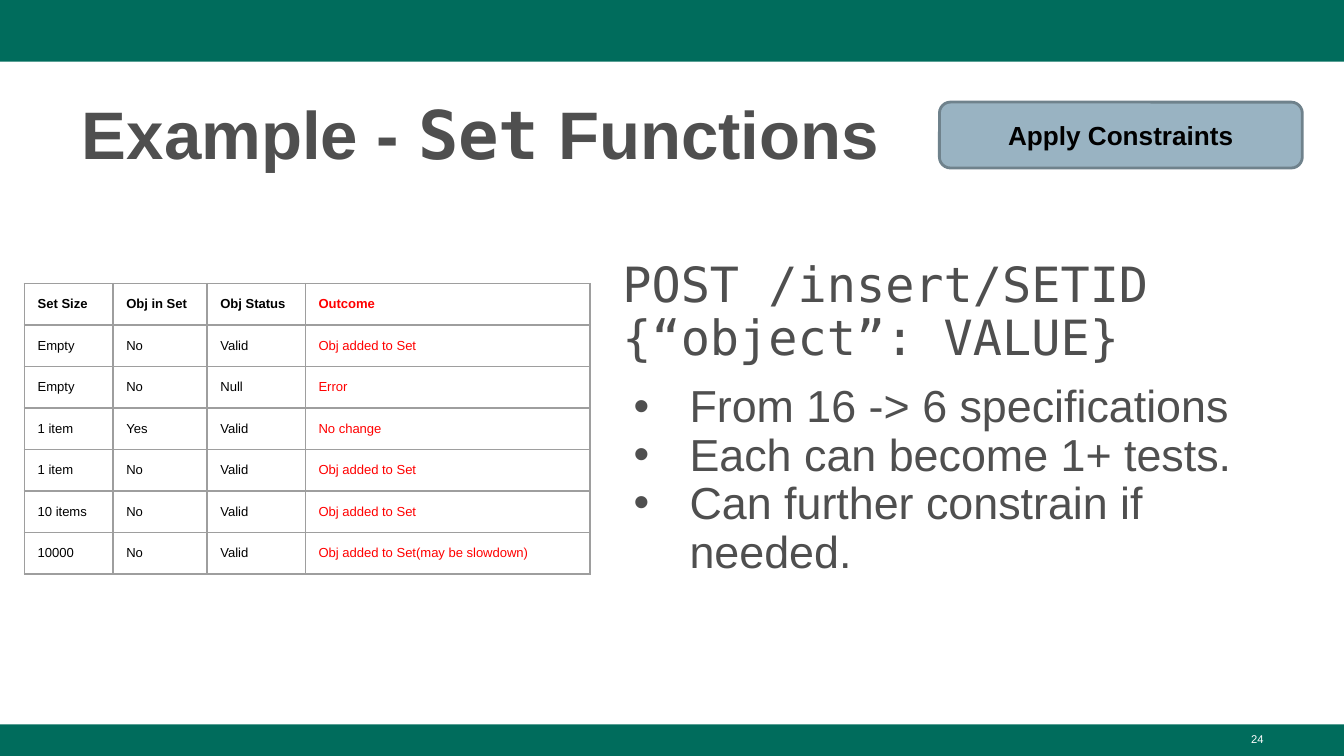
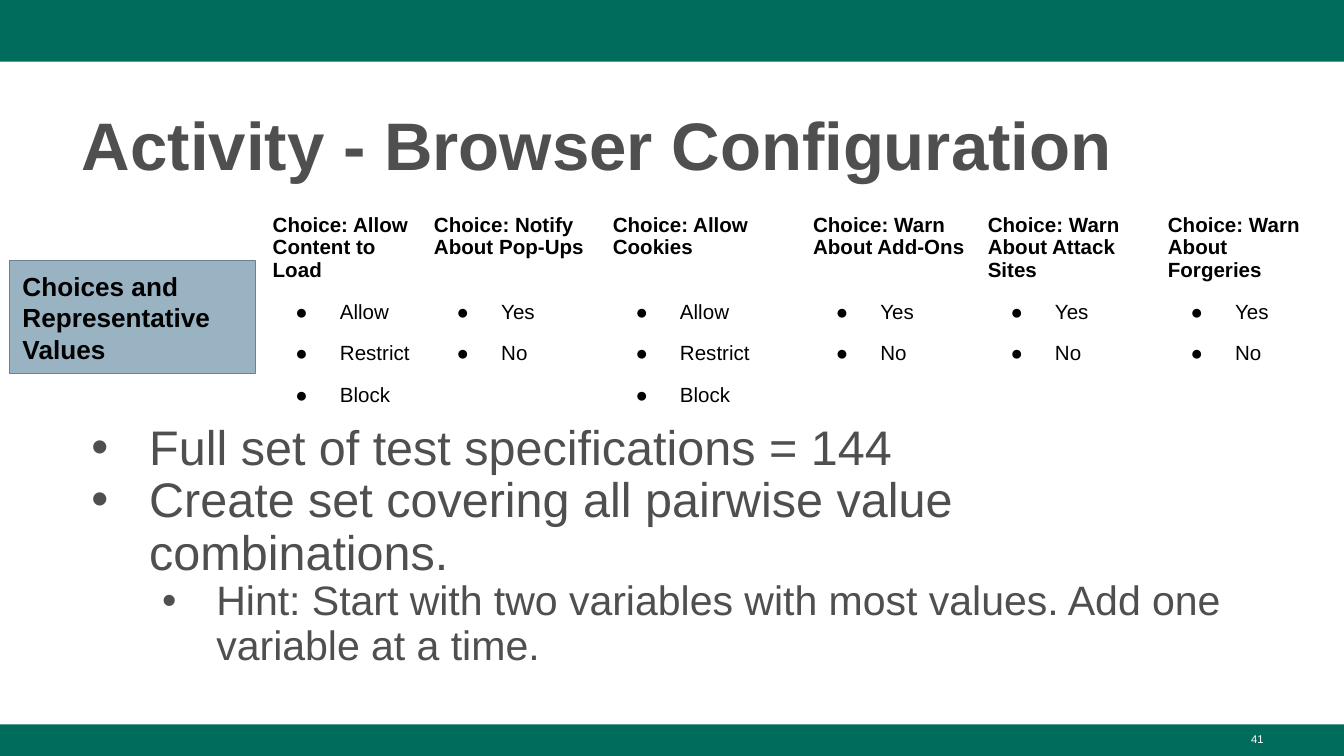
from dataclasses import dataclass
from itertools import zip_longest

from lxml import etree
from pptx import Presentation
from pptx.dml.color import RGBColor
from pptx.enum.shapes import MSO_SHAPE
from pptx.enum.text import MSO_ANCHOR, MSO_AUTO_SIZE, PP_ALIGN
from pptx.oxml.ns import qn
from pptx.util import Pt

# Shared look
COLORS = {
    "band": "006C5C",
    "text": "4F4F4F",
    "black": "000000",
    "white": "FFFFFF",
    "outcome": "FF0000",
    "label": "99B3C2",
    "label_line": "6F828C",
    "grid": "9E9E9E",
}
SANS = "Arial"
MONO = "DejaVu Sans Mono"
LEFT, CENTER, RIGHT = PP_ALIGN.LEFT, PP_ALIGN.CENTER, PP_ALIGN.RIGHT
TOP, MIDDLE = MSO_ANCHOR.TOP, MSO_ANCHOR.MIDDLE
RECTANGLE, ROUNDED = MSO_SHAPE.RECTANGLE, MSO_SHAPE.ROUNDED_RECTANGLE
NO_AUTOFIT = MSO_AUTO_SIZE.NONE
SLIDE_WIDTH, SLIDE_HEIGHT = 720, 405


@dataclass(frozen=True)
class Box:
    left: float
    top: float
    width: float
    height: float

    def lengths(self) -> tuple:
        return Pt(self.left), Pt(self.top), Pt(self.width), Pt(self.height)


@dataclass(frozen=True)
class Bullet:
    character: str
    margin: float
    hanging: float


@dataclass(frozen=True)
class Label:
    text: str
    box: Box
    kind: int
    line_width: float
    align: int


@dataclass(frozen=True)
class TableStyle:
    size: float
    margin: float
    border: str = ""
    last_column_color: str = "black"
    bullet: Bullet | None = None


BANDS = (Box(0, 0, SLIDE_WIDTH, 33.1), Box(0, 388.1, SLIDE_WIDTH, 16.9))
NUMBER_BOX = Box(516.2, 388.8, 167.8, 16.6)


# Text
def set_bullet(paragraph, bullet: Bullet | None, color: str) -> None:
    properties = paragraph._p.get_or_add_pPr()
    properties.set("marL", str(Pt(bullet.margin) if bullet else 0))
    properties.set("indent", str(-Pt(bullet.hanging) if bullet else 0))
    if bullet is None:
        etree.SubElement(properties, qn("a:buNone"))
        return
    bullet_color = etree.SubElement(properties, qn("a:buClr"))
    etree.SubElement(bullet_color, qn("a:srgbClr"), val=COLORS[color])
    etree.SubElement(properties, qn("a:buFont"), typeface=SANS)
    etree.SubElement(properties, qn("a:buChar"), char=bullet.character)


def add_text(frame, text: str | list[tuple[str, str]], *, size: float,
             color: str = "text", font: str = SANS, bold: bool = False,
             align: int = LEFT, spacing: float = 1.0, before: float = 0,
             level: int = 0, bullet: Bullet | None = None) -> None:
    """Add a paragraph of plain text or of (text, font) parts."""
    paragraph = frame.paragraphs[0]
    if paragraph.runs:
        paragraph = frame.add_paragraph()
    paragraph.level = level
    set_bullet(paragraph, bullet, color)
    paragraph.alignment = align
    paragraph.line_spacing = spacing
    paragraph.space_before = Pt(before)
    for words, typeface in [(text, font)] if isinstance(text, str) else text:
        run = paragraph.add_run()
        run.text = words
        run.font.name = typeface
        run.font.size = Pt(size)
        run.font.bold = bold
        run.font.color.rgb = RGBColor.from_string(COLORS[color])


def prepare_frame(shape, anchor: int = TOP, vertical: float = 3.6):
    frame = shape.text_frame
    frame.word_wrap = True
    frame.auto_size = NO_AUTOFIT
    frame.vertical_anchor = anchor
    frame.margin_left = frame.margin_right = Pt(7.2)
    frame.margin_top = frame.margin_bottom = Pt(vertical)
    return frame


def place(shape, box: Box) -> None:
    shape.left, shape.top, shape.width, shape.height = box.lengths()


# Shapes and tables
def add_box(slide, box: Box, fill: str, kind: int = RECTANGLE):
    shape = slide.shapes.add_shape(kind, *box.lengths())
    shape.shadow.inherit = False
    shape.fill.solid()
    shape.fill.fore_color.rgb = RGBColor.from_string(COLORS[fill])
    shape.line.fill.background()
    return shape


def add_label(slide, label: Label) -> None:
    shape = add_box(slide, label.box, "label", label.kind)
    shape.line.color.rgb = RGBColor.from_string(COLORS["label_line"])
    shape.line.width = Pt(label.line_width)
    frame = prepare_frame(shape, MIDDLE, 7.2)
    add_text(frame, label.text, size=14, color="black", bold=True, align=label.align)


def set_borders(cell, color: str) -> None:
    properties = cell._tc.get_or_add_tcPr()
    for side in ("lnL", "lnR", "lnT", "lnB"):
        line = etree.SubElement(properties, qn(f"a:{side}"), w=str(Pt(0.75)))
        if color:
            fill = etree.SubElement(line, qn("a:solidFill"))
            etree.SubElement(fill, qn("a:srgbClr"), val=COLORS[color])
        else:
            etree.SubElement(line, qn("a:noFill"))


def add_grid(slide, left: float, top: float, widths: list[float],
             heights: list[float], rows: list, style: TableStyle) -> None:
    box = Box(left, top, sum(widths), sum(heights))
    table = slide.shapes.add_table(len(rows), len(widths), *box.lengths()).table
    table.first_row = table.horz_banding = False
    for column, width in zip(table.columns, widths):
        column.width = Pt(width)
    for row, height in zip(table.rows, heights):
        row.height = Pt(height)
    for row_index, values in enumerate(rows):
        for column_index, value in enumerate(values):
            cell = table.cell(row_index, column_index)
            set_borders(cell, style.border)
            cell.fill.background()
            cell.margin_left = cell.margin_right = Pt(style.margin)
            cell.margin_top = cell.margin_bottom = Pt(style.margin)
            is_header = row_index == 0
            is_last = column_index == len(widths) - 1
            add_text(cell.text_frame, value, size=style.size, bold=is_header,
                     color=style.last_column_color if is_last else "black",
                     bullet=style.bullet if value and not is_header else None)


# Slide frame: bands, number, title and body
def add_slide(presentation, number: int, title: str | list[tuple[str, str]],
              title_box: Box, body_box: Box) -> tuple:
    slide = presentation.slides.add_slide(presentation.slide_layouts[1])
    for band in BANDS:
        add_box(slide, band, "band")
    number_box = slide.shapes.add_textbox(*NUMBER_BOX.lengths())
    add_text(prepare_frame(number_box), str(number), size=6, color="white", align=RIGHT)
    place(slide.shapes.title, title_box)
    add_text(prepare_frame(slide.shapes.title), title, size=36, bold=True, spacing=1.08)
    body = slide.placeholders[1]
    place(body, body_box)
    return slide, prepare_frame(body)


def build_set_functions(presentation) -> None:
    slide, body = add_slide(
        presentation, 24,
        [("Example - ", SANS), ("Set", MONO), (" Functions", SANS)],
        Box(36.7, 42.5, 647.3, 58.3), Box(326.2, 136.1, 373.7, 74.9))
    add_text(body, "POST /insert/SETID {“object”: VALUE}", size=26, font=MONO, spacing=0.9)
    bullet = Bullet("•", 36, 30)
    points = ("From 16 -> 6 specifications", "Each can become 1+ tests.",
              "Can further constrain if needed.")
    for index, point in enumerate(points):
        add_text(body, point, size=24, spacing=0.9, bullet=bullet,
                 before=10 if index == 0 else 0)
    add_label(slide, Label("Apply Constraints", Box(503.3, 54.7, 194.4, 35.3),
                           ROUNDED, 1.5, CENTER))
    rows = [
        ("Set Size", "Obj in Set", "Obj Status", "Outcome"),
        ("Empty", "No", "Valid", "Obj added to Set"),
        ("Empty", "No", "Null", "Error"),
        ("1 item", "Yes", "Valid", "No change"),
        ("1 item", "No", "Valid", "Obj added to Set"),
        ("10 items", "No", "Valid", "Obj added to Set"),
        ("10000", "No", "Valid", "Obj added to Set(may be slowdown)"),
    ]
    add_grid(slide, 13, 151.9, [47.5, 50.4, 52.6, 152.6], [20.9] * len(rows), rows,
             TableStyle(7, 7.2, border="grid", last_column_color="outcome"))


def build_browser_activity(presentation) -> None:
    slide, body = add_slide(
        presentation, 41, "Activity - Browser Configuration",
        Box(36.7, 48.2, 647.3, 52.6), Box(36.7, 223.2, 647.3, 151.2))
    main = Bullet("•", 36, 31)
    add_text(body, "Full set of test specifications = 144",
             size=26, spacing=0.9, bullet=main)
    add_text(body, "Create set covering all pairwise value combinations.",
             size=26, spacing=0.9, bullet=main)
    add_text(body, "Hint: Start with two variables with most values. "
             "Add one variable at a time.",
             size=22, spacing=0.9, level=1, bullet=Bullet("•", 72, 29))
    add_label(slide, Label("Choices and Representative Values",
                           Box(5, 139.7, 131.8, 60.5), RECTANGLE, 0.75, LEFT))
    blocking = ("Allow", "Restrict", "Block")
    yes_no = ("Yes", "No")
    choices = {
        "Allow Content to Load": blocking,
        "Notify About Pop-Ups": yes_no,
        "Allow Cookies": blocking,
        "Warn About Add-Ons": yes_no,
        "Warn About Attack Sites": yes_no,
        "Warn About Forgeries": yes_no,
    }
    rows = [[f"Choice: {name}" for name in choices],
            *zip_longest(*choices.values(), fillvalue="")]
    add_grid(slide, 141.1, 109.4, [86.4, 95.8, 107.3, 93.6, 96.5, 92.9],
             [31.7, 15.1, 15.1, 15.1], rows,
             TableStyle(11, 5, bullet=Bullet("●", 36, 23.8)))


def main() -> None:
    presentation = Presentation()
    presentation.slide_width = Pt(SLIDE_WIDTH)
    presentation.slide_height = Pt(SLIDE_HEIGHT)
    build_set_functions(presentation)
    build_browser_activity(presentation)
    presentation.save("out.pptx")


if __name__ == "__main__":
    main()
